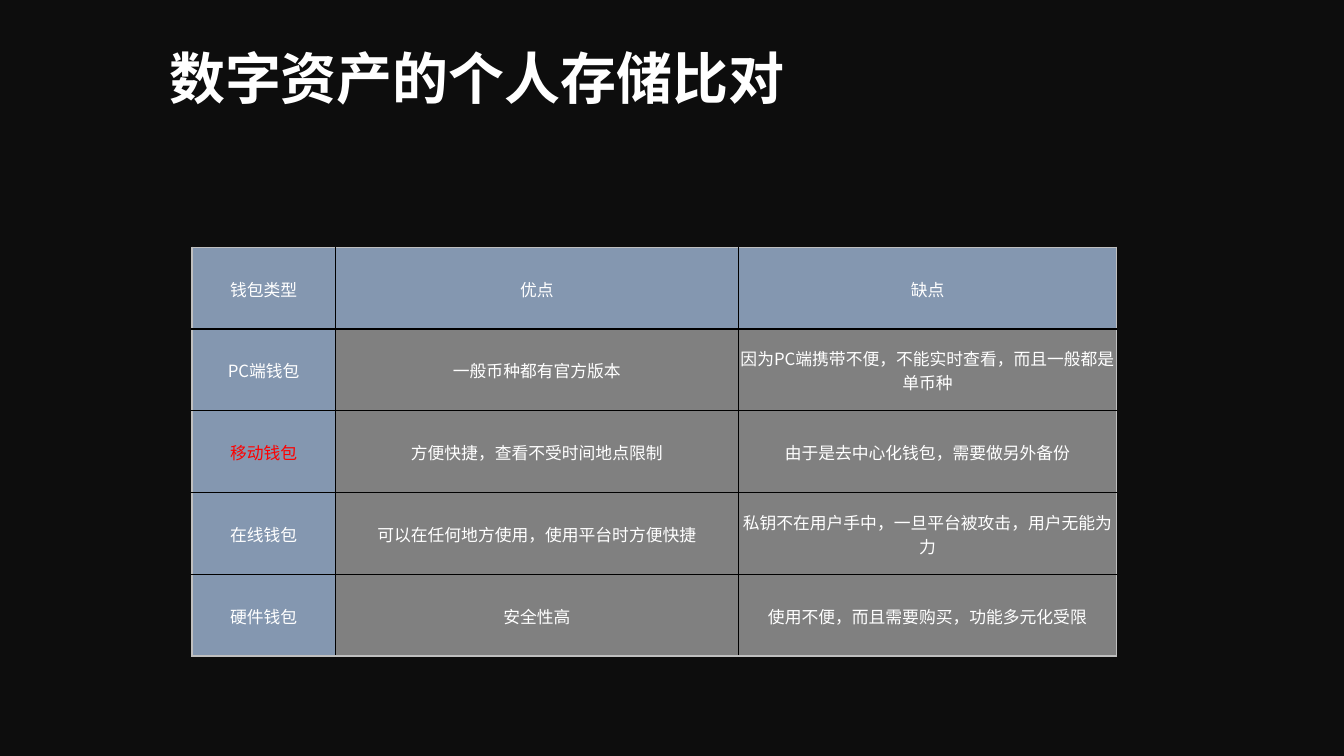
from lxml import etree
from pptx import Presentation
from pptx import util as u
from pptx.dml.color import RGBColor
from pptx.enum import text
from pptx.oxml import ns

FONT = "Noto Sans CJK SC"
BACKGROUND = RGBColor(0x0D, 0x0D, 0x0D)
WHITE = RGBColor(0xFF, 0xFF, 0xFF)
RED = RGBColor(0xFF, 0x00, 0x00)
BLACK = RGBColor(0x00, 0x00, 0x00)
FRAME = RGBColor(0xBF, 0xBF, 0xBF)
HEADING = RGBColor(0x84, 0x97, 0xB0)
BODY = RGBColor(0x80, 0x80, 0x80)

TITLE = "数字资产的个人存储比对"
HIGHLIGHT = "移动钱包"
WALLETS = [
    ("钱包类型", "优点", "缺点"),
    ("PC端钱包", "一般币种都有官方版本", "因为PC端携带不便，不能实时查看，而且一般都是单币种"),
    (HIGHLIGHT, "方便快捷，查看不受时间地点限制", "由于是去中心化钱包，需要做另外备份"),
    ("在线钱包", "可以在任何地方使用，使用平台时方便快捷", "私钥不在用户手中，一旦平台被攻击，用户无能为力"),
    ("硬件钱包", "安全性高", "使用不便，而且需要购买，功能多元化受限"),
]
COLUMN_WIDTHS = [3.61, 10.16, 9.53]
ROW_HEIGHT = 2.06


def write_centred(frame, content, size, color, bold=False):
    frame.text = content
    para = frame.paragraphs[0]
    para.alignment = text.PP_ALIGN.CENTER
    span = para.runs[0]
    span.font.name = FONT
    span.font.size = u.Pt(size)
    span.font.bold = bold
    span.font.color.rgb = color
    east_asian = etree.SubElement(span.font._element, ns.qn("a:ea"))
    east_asian.set("typeface", FONT)
    return para


def add_title(page):
    box = page.shapes.add_textbox(u.Cm(2.87), u.Cm(1.24), u.Cm(18.29), u.Cm(1.63))
    frame = box.text_frame
    frame.word_wrap = True
    frame.vertical_anchor = text.MSO_ANCHOR.MIDDLE
    frame.margin_left = frame.margin_right = frame.margin_top = frame.margin_bottom = 0
    para = write_centred(frame, TITLE, 40, WHITE, bold=True)
    para.line_spacing = 0.9


def add_border(cell, side, color):
    properties = cell._tc.get_or_add_tcPr()
    line = etree.SubElement(properties, ns.qn("a:ln" + side), w=str(u.Pt(1)))
    fill = etree.SubElement(line, ns.qn("a:solidFill"))
    etree.SubElement(fill, ns.qn("a:srgbClr"), val=str(color))


def format_cell(cell, content, row, column):
    cell.vertical_anchor = text.MSO_ANCHOR.MIDDLE
    cell.margin_left = cell.margin_right = cell.margin_top = u.Cm(0.03)
    cell.margin_bottom = 0
    outer_edges = {
        "L": column == 0,
        "R": column == len(COLUMN_WIDTHS) - 1,
        "T": row == 0,
        "B": row == len(WALLETS) - 1,
    }
    for side, is_outer in outer_edges.items():
        add_border(cell, side, FRAME if is_outer else BLACK)
    cell.fill.solid()
    cell.fill.fore_color.rgb = HEADING if row == 0 or column == 0 else BODY
    write_centred(cell.text_frame, content, 12, RED if content == HIGHLIGHT else WHITE)


def add_wallet_table(page):
    table = page.shapes.add_table(
        len(WALLETS), len(COLUMN_WIDTHS), u.Cm(4.84), u.Cm(6.23),
        u.Cm(sum(COLUMN_WIDTHS)), u.Cm(ROW_HEIGHT * len(WALLETS)),
    ).table
    for column, width in zip(table.columns, COLUMN_WIDTHS):
        column.width = u.Cm(width)
    for row, contents in enumerate(WALLETS):
        table.rows[row].height = u.Cm(ROW_HEIGHT)
        for column, content in enumerate(contents):
            format_cell(table.cell(row, column), content, row, column)


def main():
    deck = Presentation()
    deck.slide_width = u.Cm(33.87)
    deck.slide_height = u.Cm(19.05)
    page = deck.slides.add_slide(deck.slide_layouts[6])
    page.background.fill.solid()
    page.background.fill.fore_color.rgb = BACKGROUND
    add_title(page)
    add_wallet_table(page)
    deck.save("out.pptx")


if __name__ == "__main__":
    main()
